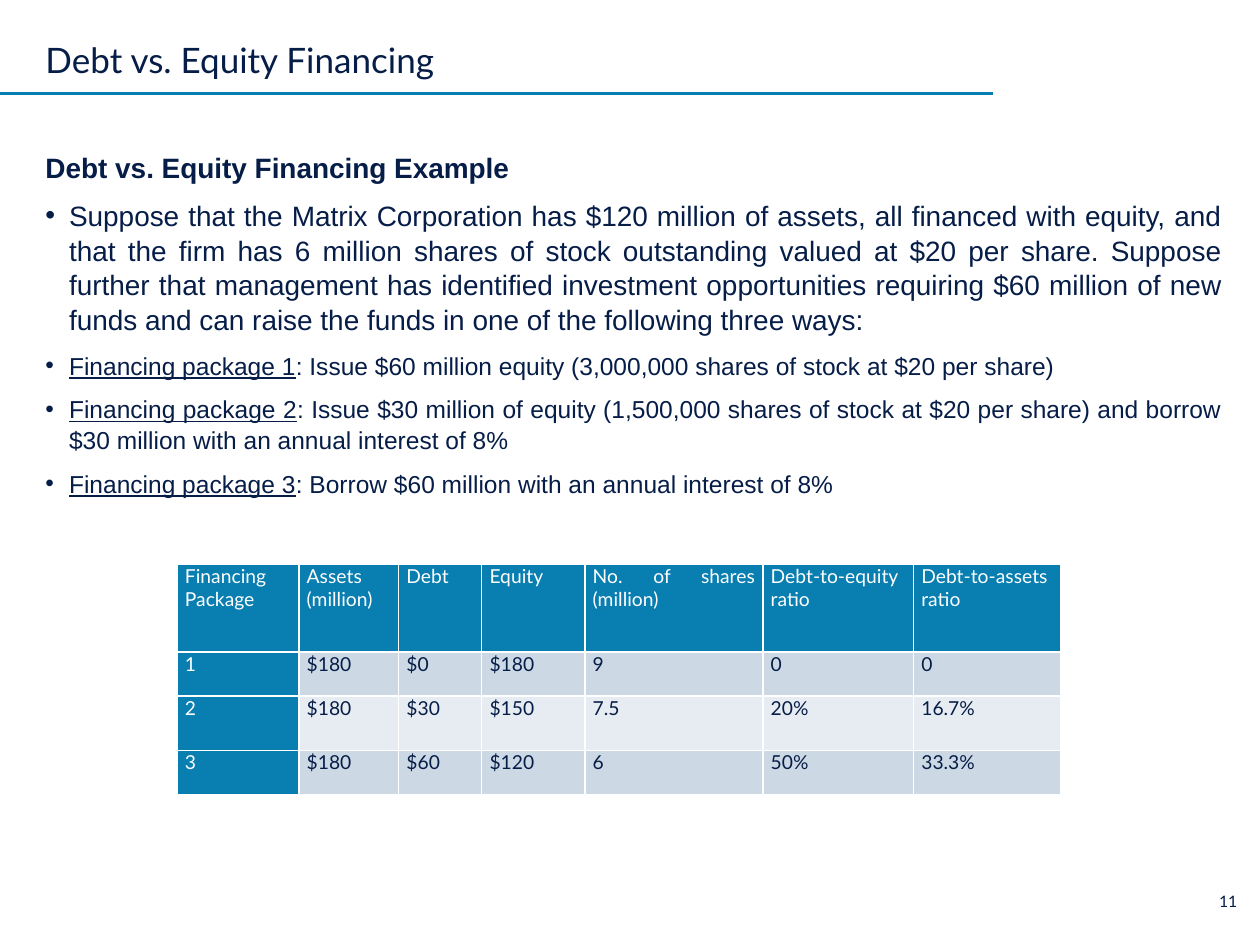
from pptx import Presentation
from pptx.dml.color import RGBColor
from pptx.enum.shapes import MSO_CONNECTOR
from pptx.enum.text import MSO_ANCHOR, PP_ALIGN
from pptx.oxml import parse_xml
from pptx.oxml.ns import nsdecls
from pptx.util import Pt

LEFT, RIGHT, JUSTIFY = PP_ALIGN.LEFT, PP_ALIGN.RIGHT, PP_ALIGN.JUSTIFY
TOP, BOTTOM = MSO_ANCHOR.TOP, MSO_ANCHOR.BOTTOM
STRAIGHT = MSO_CONNECTOR.STRAIGHT

NAVY, BLUE, WHITE = "061D48", "097EB1", "FFFFFF"
BANDS = ("CCD8E4", "E7ECF2")
HEADING_FONT, BODY_FONT = "Lato", "Arial"

INTRO = (
    "Suppose that the Matrix Corporation has $120 million of assets, all financed "
    "with equity, and that the firm has 6 million shares of stock outstanding valued "
    "at $20 per share. Suppose further that management has identified investment "
    "opportunities requiring $60 million of new funds and can raise the funds in one "
    "of the following three ways:"
)
PACKAGES = [
    "Issue $60 million equity (3,000,000 shares of stock at $20 per share)",
    "Issue $30 million of equity (1,500,000 shares of stock at $20 per share) and "
    "borrow $30 million with an annual interest of 8%",
    "Borrow $60 million with an annual interest of 8%",
]
TABLE_ROWS = [
    ["Financing Package", "Assets\n(million)", "Debt", "Equity",
     "No. of shares (million)", "Debt-to-equity ratio", "Debt-to-assets ratio"],
    ["1", "$180", "$0", "$180", "9", "0", "0"],
    ["2", "$180", "$30", "$150", "7.5", "20%", "16.7%"],
    ["3", "$180", "$60", "$120", "6", "50%", "33.3%"],
]
COL_WIDTHS = [69.6, 57, 47.5, 59, 101.7, 86.1, 84]
ROW_HEIGHTS = [50.1, 25, 31.3, 25]


def rgb(hex_color):
    return RGBColor.from_string(hex_color)


def add_run(p, text, size=16, font=BODY_FONT, color=NAVY, bold=False, underline=False):
    r = p.add_run()
    r.text = text
    r.font.size, r.font.name = Pt(size), font
    r.font.bold, r.font.underline = bold, underline
    r.font.color.rgb = rgb(color)


def add_frame(s, box, anchor=TOP):
    tf = s.shapes.add_textbox(*map(Pt, box)).text_frame
    tf.margin_left = tf.margin_top = tf.margin_right = tf.margin_bottom = 0
    tf.word_wrap = True
    tf.vertical_anchor = anchor
    return tf


def add_line_of_text(s, box, text, align=LEFT, anchor=TOP, spacing=1.0, **fmt):
    p = add_frame(s, box, anchor).paragraphs[0]
    p.alignment, p.line_spacing = align, spacing
    add_run(p, text, **fmt)


def add_header(s, box):
    """Title with a rule below it that starts at the slide's left edge."""
    left, top, width, height = box
    add_line_of_text(s, box, "Debt vs. Equity Financing", anchor=BOTTOM,
                     spacing=0.9, size=20, font=HEADING_FONT)
    y = Pt(top + height + 7.1)
    rule = s.shapes.add_connector(STRAIGHT, 0, y, Pt(left + width + 27.3), y)
    rule.line.color.rgb = rgb(BLUE)
    rule.line.width = Pt(1.5)
    rule._element.spPr.append(parse_xml(f"<a:effectLst {nsdecls('a')}/>"))


def add_bullet(tf):
    p = tf.add_paragraph()
    pPr = p._p.get_or_add_pPr()
    pPr.set("marL", str(Pt(13.5)))
    pPr.set("indent", str(-Pt(13.5)))
    pPr.append(parse_xml(f'<a:buFont {nsdecls("a")} typeface="Arial"/>'))
    pPr.append(parse_xml(f'<a:buChar {nsdecls("a")} char="•"/>'))
    p.alignment, p.space_before, p.line_spacing = JUSTIFY, Pt(7.5), 1.04
    return p


def add_body(s, box):
    tf = add_frame(s, box)
    p = tf.paragraphs[0]
    p.line_spacing = 1.04
    add_run(p, "Debt vs. Equity Financing Example", bold=True)
    add_run(add_bullet(tf), INTRO)
    for number, terms in enumerate(PACKAGES, 1):
        p = add_bullet(tf)
        add_run(p, f"Financing package {number}", size=14, underline=True)
        add_run(p, f": {terms}", size=14)


def add_borders(cell, color=WHITE, width=1):
    tcPr = cell._tc.get_or_add_tcPr()
    for side in "LRTB":
        tcPr.append(parse_xml(
            f'<a:ln{side} {nsdecls("a")} w="{Pt(width)}"><a:solidFill>'
            f'<a:srgbClr val="{color}"/></a:solidFill></a:ln{side}>'))


def fill_cell(cell, text, fill, color):
    add_borders(cell)
    cell.fill.solid()
    cell.fill.fore_color.rgb = rgb(fill)
    cell.margin_left = cell.margin_right = Pt(4.5)
    cell.margin_top = cell.margin_bottom = 0
    tf = cell.text_frame
    for i, line in enumerate(text.split("\n")):
        p = tf.add_paragraph() if i else tf.paragraphs[0]
        p.alignment = JUSTIFY
        add_run(p, line, size=11, font=HEADING_FONT, color=color)


def add_package_table(s, left, top):
    table = s.shapes.add_table(
        len(TABLE_ROWS), len(COL_WIDTHS), Pt(left), Pt(top),
        Pt(sum(COL_WIDTHS)), Pt(sum(ROW_HEIGHTS))).table
    table.first_col = True
    for col, width in zip(table.columns, COL_WIDTHS):
        col.width = Pt(width)
    for i, (row, height) in enumerate(zip(table.rows, ROW_HEIGHTS)):
        row.height = Pt(height)
        for j, cell in enumerate(row.cells):
            is_header = i == 0 or j == 0
            fill = BLUE if is_header else BANDS[(i - 1) % 2]
            fill_cell(cell, TABLE_ROWS[i][j], fill, WHITE if is_header else NAVY)


def main():
    prs = Presentation()
    prs.slide_width, prs.slide_height = Pt(720), Pt(540)
    s = prs.slides.add_slide(prs.slide_layouts[6])
    add_header(s, (26, 7.2, 514, 39))
    add_body(s, (26, 85, 672.4, 204.5))
    add_package_table(s, 101.2, 322.6)
    add_line_of_text(s, (684.7, 509.8, 22.3, 10.8), "11", align=RIGHT,
                     size=9, font=HEADING_FONT)
    prs.save("out.pptx")


if __name__ == "__main__":
    main()
